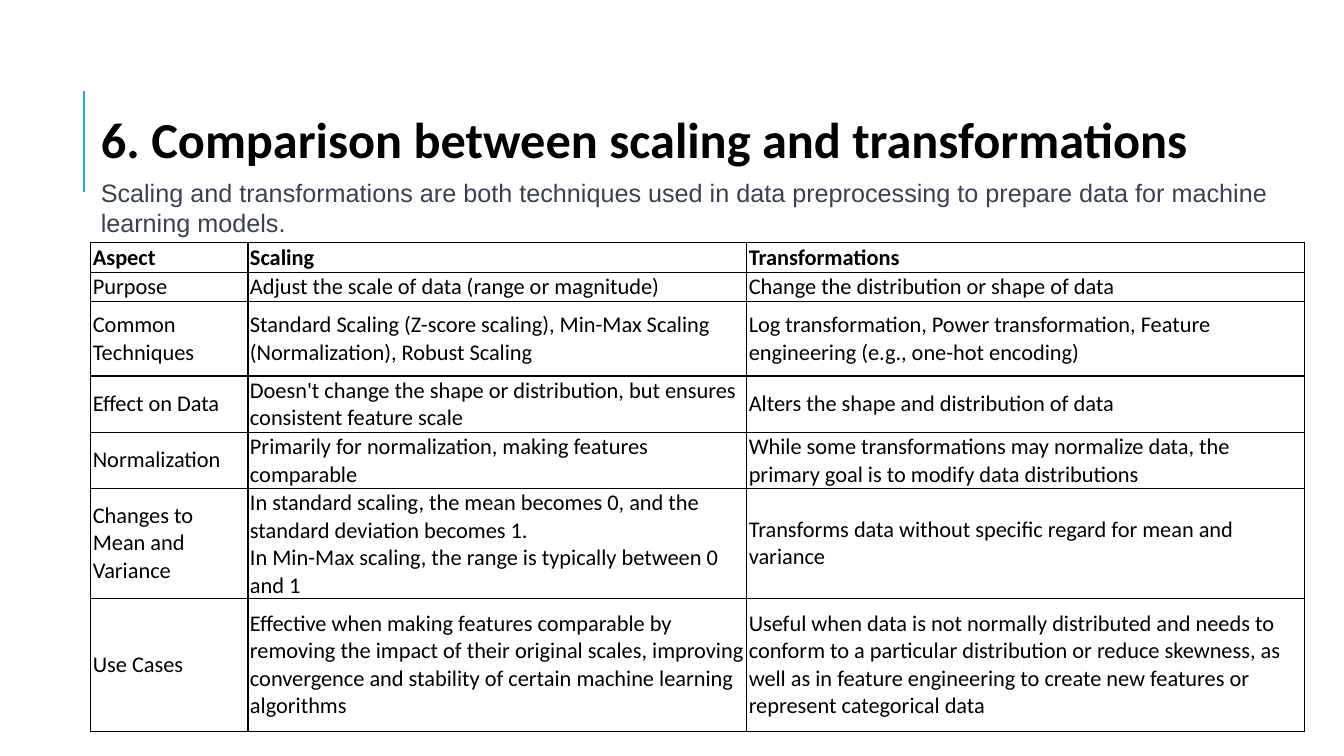
"""Build a slide that compares scaling with transformations."""
from dataclasses import dataclass

from lxml.etree import SubElement
from pptx import Presentation
from pptx.dml.color import RGBColor
from pptx.enum.shapes import MSO_CONNECTOR as Connector
from pptx.enum.text import MSO_ANCHOR as Anchor, MSO_AUTO_SIZE as AutoSize, PP_ALIGN as Align
from pptx.oxml.ns import qn
from pptx.util import Cm, Pt


@dataclass(frozen=True)
class Theme:
    accent: RGBColor = RGBColor(0x1C, 0xAD, 0xE4)
    ink: RGBColor = RGBColor(0, 0, 0)
    slate: RGBColor = RGBColor(0x37, 0x41, 0x51)
    heading_font: str = "Calibri"
    intro_font: str = "Arial"
    title_size: Pt = Pt(36)
    intro_size: Pt = Pt(18)
    cell_size: Pt = Pt(16)
    accent_width: Pt = Pt(1.5)
    border_width: Pt = Pt(1)


THEME = Theme()
LEFT, WIDTH = Cm(2.29), Cm(30.58)
TITLE = "6. Comparison between scaling and transformations"
INTRO = ("Scaling and transformations are both techniques used in data preprocessing "
         "to prepare data for machine learning models.")
COLUMN_WIDTHS = (3.96, 12.57, 14.05)
ROW_HEIGHTS = (0.43, 0.61, 1.88, 1.14, 1.35, 2.44, 3.35)
COMPARISON = (
    ("Aspect", "Scaling", "Transformations"),
    ("Purpose",
     "Adjust the scale of data (range or magnitude)",
     "Change the distribution or shape of data"),
    ("Common Techniques",
     "Standard Scaling (Z-score scaling), Min-Max Scaling (Normalization), Robust Scaling",
     "Log transformation, Power transformation, Feature engineering "
     "(e.g., one-hot encoding)"),
    ("Effect on Data",
     "Doesn't change the shape or distribution, but ensures consistent feature scale",
     "Alters the shape and distribution of data"),
    ("Normalization",
     "Primarily for normalization, making features comparable",
     "While some transformations may normalize data, the primary goal is to modify "
     "data distributions"),
    ("Changes to Mean and Variance",
     "In standard scaling, the mean becomes 0, and the standard deviation becomes 1.\n"
     "In Min-Max scaling, the range is typically between 0 and 1",
     "Transforms data without specific regard for mean and variance"),
    ("Use Cases",
     "Effective when making features comparable by removing the impact of their original "
     "scales, improving convergence and stability of certain machine learning algorithms",
     "Useful when data is not normally distributed and needs to conform to a particular "
     "distribution or reduce skewness, as well as in feature engineering to create new "
     "features or represent categorical data"),
)


def write_text(frame, text, font, size, color, bold=False):
    """Fill a text frame and format all its runs."""
    frame.text = text
    frame.word_wrap = True
    for para in frame.paragraphs:
        para.alignment = Align.LEFT
        for span in para.runs:
            span.font.name = font
            span.font.size = size
            span.font.bold = bold
            span.font.color.rgb = color


def add_accent_line(page):
    """Draw the upright line beside the title."""
    line = page.shapes.add_connector(Connector.STRAIGHT, Cm(2.11), Cm(4.83), Cm(2.11), Cm(2.29))
    line.line.color.rgb = THEME.accent
    line.line.width = THEME.accent_width
    SubElement(line._element.spPr, qn("a:effectLst"))


def set_title(page):
    """Place and format the title placeholder."""
    title = page.shapes.title
    title.left, title.top, title.width, title.height = LEFT, Cm(2.59), WIDTH, Cm(1.8)
    write_text(title.text_frame, TITLE, THEME.heading_font, THEME.title_size, THEME.ink, True)
    title.text_frame.auto_size = AutoSize.SHAPE_TO_FIT_TEXT
    title.text_frame.paragraphs[0].space_after = Pt(3)


def add_intro(page):
    """Add the sentence below the title."""
    box = page.shapes.add_textbox(LEFT, Cm(4.34), WIDTH, Cm(1.8))
    write_text(box.text_frame, INTRO, THEME.intro_font, THEME.intro_size, THEME.slate)
    box.text_frame.auto_size = AutoSize.SHAPE_TO_FIT_TEXT


def set_borders(cell):
    """Give a cell a thin line on every side."""
    properties = cell._tc.get_or_add_tcPr()
    for side in ("a:lnL", "a:lnR", "a:lnT", "a:lnB"):
        edge = SubElement(properties, qn(side), w=str(THEME.border_width))
        fill = SubElement(edge, qn("a:solidFill"))
        SubElement(fill, qn("a:srgbClr"), val=str(THEME.ink))


def format_cell(cell, text, is_header):
    """Write one table cell with its borders and margins."""
    write_text(cell.text_frame, text, THEME.heading_font, THEME.cell_size, THEME.ink, is_header)
    cell.vertical_anchor = Anchor.BOTTOM if is_header else Anchor.MIDDLE
    cell.margin_left = cell.margin_right = Cm(0.05)
    cell.margin_top = cell.margin_bottom = Cm(0.03)
    set_borders(cell)
    cell.fill.background()


def add_comparison(page):
    """Add the comparison table."""
    table = page.shapes.add_table(len(COMPARISON), len(COLUMN_WIDTHS), LEFT, Cm(6.12),
                                  WIDTH, Cm(sum(ROW_HEIGHTS))).table
    table.first_row = table.horz_banding = False
    for column, width in zip(table.columns, COLUMN_WIDTHS):
        column.width = Cm(width)
    for index, (row, height) in enumerate(zip(table.rows, ROW_HEIGHTS)):
        row.height = Cm(height)
        for cell, text in zip(row.cells, COMPARISON[index]):
            format_cell(cell, text, index == 0)


def main():
    """Build and save the deck."""
    deck = Presentation()
    deck.slide_width, deck.slide_height = Cm(33.87), Cm(19.05)
    page = deck.slides.add_slide(deck.slide_layouts.get_by_name("Title Only"))
    add_accent_line(page)
    set_title(page)
    add_comparison(page)
    add_intro(page)
    deck.save("out.pptx")


if __name__ == "__main__":
    main()
